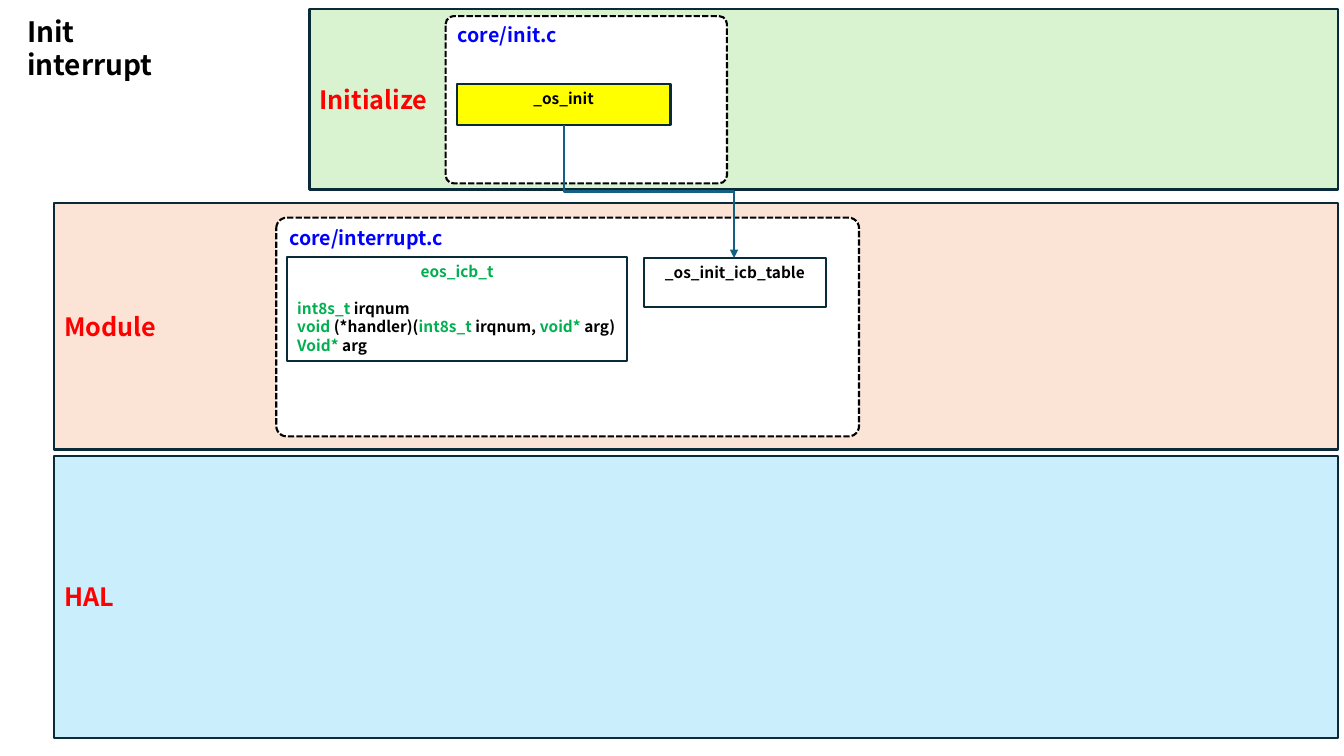
from dataclasses import dataclass

from lxml.etree import SubElement
from pptx import Presentation
from pptx.dml.color import RGBColor
from pptx.enum.dml import MSO_LINE
from pptx.enum.shapes import MSO_CONNECTOR, MSO_SHAPE
from pptx.enum.text import MSO_ANCHOR, PP_ALIGN
from pptx.oxml.ns import qn
from pptx.util import Emu, Pt


@dataclass(frozen=True)
class Theme:
    font: str = "Noto Sans CJK KR"
    black: str = "000000"
    white: str = "FFFFFF"
    red: str = "FF0000"
    blue: str = "0000FF"
    type_green: str = "00B050"
    border: str = "092A39"
    arrow: str = "156082"
    initialize: str = "D9F2D0"
    module: str = "FBE3D6"
    hal: str = "CAEEFB"
    entry: str = "FFFF00"
    title_size: int = 20
    layer_size: int = 18
    file_size: int = 14
    code_size: int = 11
    line_width: float = 1.5


T = Theme()


def px(n):
    """100 px to the inch."""
    return Emu(int(n * 9144))


def rgb(value):
    return RGBColor.from_string(value)


def add_runs(p, size, runs):
    for text, color in runs:
        r = p.add_run()
        r.text = text
        r.font.name = T.font
        r.font.size = Pt(size)
        r.font.bold = True
        r.font.color.rgb = rgb(color)


def add_box(s, kind, box, fill=None, line=T.border, anchor=MSO_ANCHOR.TOP):
    sp = s.shapes.add_shape(kind, *map(px, box))
    sp.shadow.inherit = False
    if fill:
        sp.fill.solid()
        sp.fill.fore_color.rgb = rgb(fill)
    else:
        sp.fill.background()
    sp.line.color.rgb = rgb(line)
    sp.line.width = Pt(T.line_width)
    tf = sp.text_frame
    tf.word_wrap = True
    tf.vertical_anchor = anchor
    tf.paragraphs[0].alignment = PP_ALIGN.LEFT
    return sp


def add_title(s, box, text):
    tf = s.shapes.add_textbox(*map(px, box)).text_frame
    tf.word_wrap = True
    add_runs(tf.paragraphs[0], T.title_size, [(text, T.black)])


def add_layer(s, box, name, fill):
    sp = add_box(s, MSO_SHAPE.RECTANGLE, box, fill, anchor=MSO_ANCHOR.MIDDLE)
    add_runs(sp.text_frame.paragraphs[0], T.layer_size, [(name, T.red)])


def add_file(s, box, name):
    sp = add_box(s, MSO_SHAPE.ROUNDED_RECTANGLE, box, T.white, T.black)
    sp.adjustments[0] = 0.048
    sp.line.dash_style = MSO_LINE.SQUARE_DOT
    add_runs(sp.text_frame.paragraphs[0], T.file_size, [(name, T.blue)])


def add_code(s, box, name, color=T.black, fill=None, fields=()):
    """A function or a struct: centred name, then one line per field."""
    tf = add_box(s, MSO_SHAPE.RECTANGLE, box, fill).text_frame
    tf.paragraphs[0].alignment = PP_ALIGN.CENTER
    add_runs(tf.paragraphs[0], T.code_size, [(name, color)])
    for i, runs in enumerate(fields):
        p = tf.add_paragraph()
        p.alignment = PP_ALIGN.LEFT
        if i == 0:
            p.space_before = Pt(13)
        add_runs(p, T.code_size, runs)


def add_call(s, x1, y1, x2, y2):
    """Elbow arrow that leaves downwards: an elbow turned by 270 degrees."""
    cx, cy = (x1 + x2) / 2, (y1 + y2) / 2
    dx, dy = (y2 - y1) / 2, (x2 - x1) / 2
    cxn = s.shapes.add_connector(MSO_CONNECTOR.ELBOW, px(cx + dx), px(cy - dy),
                                 px(cx - dx), px(cy + dy))
    cxn.line.color.rgb = rgb(T.arrow)
    cxn.line.width = Pt(T.line_width)
    spPr = cxn._element.spPr
    spPr.find(qn("a:xfrm")).set("rot", str(270 * 60000))
    SubElement(spPr.find(qn("a:ln")), qn("a:tailEnd"), type="triangle")
    SubElement(spPr, qn("a:effectLst"))


def main():
    prs = Presentation()
    prs.slide_width, prs.slide_height = px(1333), px(750)
    s = prs.slides.add_slide(prs.slide_layouts[6])

    # Layers and title
    add_layer(s, (54, 201, 1273, 245), "Module", T.module)
    add_layer(s, (54, 452, 1273, 280), "HAL", T.hal)
    add_title(s, (17, 9, 197, 44), "Init interrupt")
    add_layer(s, (307, 9, 1020, 179), "Initialize", T.initialize)

    # Initialize: entry point
    add_file(s, (442, 16, 279, 166), "core/init.c")
    add_code(s, (453, 83, 212, 41), "_os_init", fill=T.entry)

    # Module: interrupt table and control block
    add_file(s, (274, 216, 578, 217), "core/interrupt.c")
    add_code(s, (639, 256, 180, 49), "_os_init_icb_table")
    add_code(s, (285, 255, 337, 103), "eos_icb_t", T.type_green, fields=[
        [("int8s_t ", T.type_green), ("irqnum", T.black)],
        [("void ", T.type_green), ("(*handler)(", T.black),
         ("int8s_t ", T.type_green), ("irqnum, ", T.black),
         ("void* ", T.type_green), ("arg)", T.black)],
        [("Void* ", T.type_green), ("arg", T.black)],
    ])

    # Call from the entry point to the table setup
    add_call(s, 559, 124, 728, 256)

    prs.save("out.pptx")


if __name__ == "__main__":
    main()
